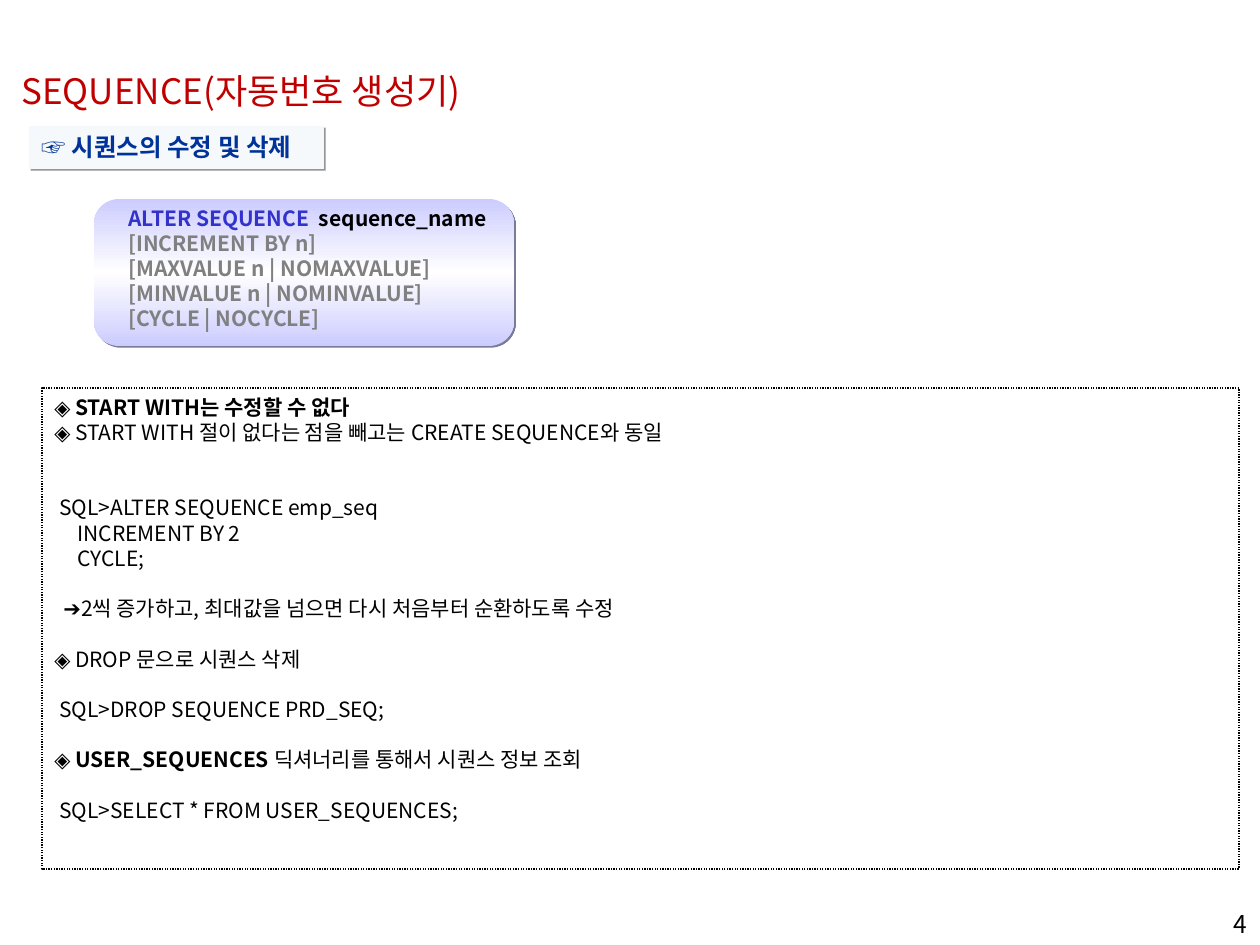
import copy
from dataclasses import dataclass

import pptx
import pptx.dml.color
import pptx.enum.dml
import pptx.enum.shapes
import pptx.enum.text
import pptx.oxml
import pptx.oxml.ns
import pptx.util
from pptx.dml.color import RGBColor

EMU_PER_PX = 914400 / 126
LINE_FACTOR = 1.2
SANS = "Noto Sans CJK KR"
ARROW_FONT = "Arial"

BLACK = RGBColor(0x00, 0x00, 0x00)
TITLE_RED = RGBColor(0xC0, 0x00, 0x00)
HEADING_BLUE = RGBColor(0x00, 0x33, 0x99)
KEYWORD_BLUE = RGBColor(0x33, 0x33, 0xCC)
OPTION_GREY = RGBColor(0x80, 0x80, 0x80)
HEADING_FILL = RGBColor(0xF6, 0xF9, 0xFC)
HEADING_SHADOW = RGBColor(0x94, 0x95, 0x97)
LAVENDER = RGBColor(0xCC, 0xCC, 0xFF)
WHITE = RGBColor(0xFF, 0xFF, 0xFF)
PANEL_SHADOW = RGBColor(0x7A, 0x7A, 0x99)

SHAPES = pptx.enum.shapes.MSO_SHAPE
LEFT = pptx.enum.text.PP_ALIGN.LEFT
RIGHT = pptx.enum.text.PP_ALIGN.RIGHT


@dataclass(frozen=True)
class Box:
    left: int
    top: int
    width: int
    height: int


@dataclass(frozen=True)
class Run:
    text: str
    bold: bool = False
    color: RGBColor = BLACK
    font: str = SANS


@dataclass(frozen=True)
class Line:
    """One paragraph; indent is in px, gap counts empty lines above it."""
    runs: tuple[Run, ...]
    indent: int = 0
    gap: int = 0


def px(length: float) -> int:
    return round(length * EMU_PER_PX)


def edges(box: Box) -> tuple[int, ...]:
    return tuple(px(n) for n in (box.left, box.top, box.width, box.height))


def write(shape, lines: list[Line], size: int, align=LEFT) -> None:
    frame = shape.text_frame
    frame.word_wrap = True
    frame.vertical_anchor = pptx.enum.text.MSO_ANCHOR.TOP
    pitch = size * LINE_FACTOR
    for number, line in enumerate(lines):
        paragraph = frame.add_paragraph() if number else frame.paragraphs[0]
        layout = {
            "alignment": align,
            "line_spacing": pptx.util.Pt(pitch),
            "space_before": pptx.util.Pt(pitch * line.gap),
        }
        for key, value in layout.items():
            setattr(paragraph, key, value)
        if line.indent:
            paragraph._p.get_or_add_pPr().set("marL", str(px(line.indent)))
        for part in line.runs:
            run = paragraph.add_run()
            run.text = part.text
            style = {"name": part.font, "size": pptx.util.Pt(size), "bold": part.bold}
            for key, value in style.items():
                setattr(run.font, key, value)
            run.font.color.rgb = part.color
            east_asian = pptx.oxml.parse_xml(
                f'<a:ea {pptx.oxml.ns.nsdecls("a")} typeface="{part.font}"/>')
            run.font._rPr.append(east_asian)


def add_text(slide, box: Box, lines: list[Line], size: int, align=LEFT) -> None:
    write(slide.shapes.add_textbox(*edges(box)), lines, size, align)


def add_plain_shape(slide, kind, box: Box):
    shape = slide.shapes.add_shape(kind, *edges(box))
    shape.shadow.inherit = False
    shape.line.fill.background()
    return shape


def cast_shadow(shape, color: RGBColor) -> None:
    effects = shape._element.spPr.find(pptx.oxml.ns.qn("a:effectLst"))
    effects.append(pptx.oxml.parse_xml(
        f'<a:outerShdw {pptx.oxml.ns.nsdecls("a")} blurRad="0" dist="17780" '
        f'dir="2700000" algn="ctr" rotWithShape="0">'
        f'<a:srgbClr val="{color}"/></a:outerShdw>'))


def fill_gradient(shape, colors: list[RGBColor]) -> None:
    """Spread the colours evenly from top to bottom."""
    shape.fill.gradient()
    shape.fill.gradient_angle = 270
    stop_list = shape._element.spPr.find(".//" + pptx.oxml.ns.qn("a:gsLst"))
    while len(stop_list) < len(colors):
        stop_list.append(copy.deepcopy(stop_list[0]))
    for number, (stop, color) in enumerate(zip(shape.fill.gradient_stops, colors)):
        stop.position = number / (len(colors) - 1)
        stop.color.rgb = color


def add_heading(slide) -> None:
    heading = add_plain_shape(slide, SHAPES.RECTANGLE, Box(29, 126, 295, 43))
    heading.fill.solid()
    heading.fill.fore_color.rgb = HEADING_FILL
    cast_shadow(heading, HEADING_SHADOW)
    write(heading, [Line((Run("☞ 시퀀스의 수정 및 삭제", True, HEADING_BLUE),))], 14)


def add_syntax(slide) -> None:
    panel = add_plain_shape(slide, SHAPES.ROUNDED_RECTANGLE, Box(94, 199, 420, 147))
    panel.adjustments[0] = 0.17
    fill_gradient(panel, [LAVENDER, WHITE, LAVENDER])
    cast_shadow(panel, PANEL_SHADOW)
    options = ["[INCREMENT BY n]", "[MAXVALUE n | NOMAXVALUE]",
               "[MINVALUE n | NOMINVALUE]", "[CYCLE | NOCYCLE]"]
    statement = Line((Run("ALTER SEQUENCE  ", True, KEYWORD_BLUE),
                      Run("sequence_name", True)))
    clauses = [Line((Run(option, True, OPTION_GREY),)) for option in options]
    add_text(slide, Box(116, 199, 388, 139), [statement, *clauses], 12)


def add_explanation(slide) -> None:
    frame = add_plain_shape(slide, SHAPES.RECTANGLE, Box(42, 388, 1197, 481))
    frame.fill.background()
    frame.line.color.rgb = BLACK
    frame.line.width = pptx.util.Pt(0.75)
    frame.line.dash_style = pptx.enum.dml.MSO_LINE.ROUND_DOT
    sql, clause, result = 5, 23, 9
    write(frame, [
        Line((Run("◈ "), Run("START WITH는 수정할 수 없다", True))),
        Line((Run("◈ START WITH 절이 없다는 점을 빼고는 CREATE SEQUENCE와 동일"),)),
        Line((Run("SQL>ALTER SEQUENCE emp_seq"),), sql, 2),
        Line((Run("INCREMENT BY 2"),), clause),
        Line((Run("CYCLE;"),), clause),
        Line((Run("➔", font=ARROW_FONT),
              Run("2씩 증가하고, 최대값을 넘으면 다시 처음부터 순환하도록 수정")), result, 1),
        Line((Run("◈ DROP 문으로 시퀀스 삭제"),), gap=1),
        Line((Run("SQL>DROP SEQUENCE PRD_SEQ;"),), sql, 1),
        Line((Run("◈ "), Run("USER_SEQUENCES ", True),
              Run("딕셔너리를 통해서 시퀀스 정보 조회")), gap=1),
        Line((Run("SQL>SELECT * FROM USER_SEQUENCES;"),), sql, 1),
    ], 12)


def main() -> None:
    deck = pptx.Presentation()
    deck.slide_width, deck.slide_height = px(1260), px(945)
    slide = deck.slides.add_slide(deck.slide_layouts[6])
    add_text(slide, Box(998, 903, 262, 63), [Line((Run("4"),))], 14, RIGHT)
    add_heading(slide)
    add_syntax(slide)
    add_explanation(slide)
    title = Line((Run("SEQUENCE(자동번호 생성기)", color=TITLE_RED),))
    add_text(slide, Box(9, 63, 498, 55), [title], 20)
    deck.save("out.pptx")


if __name__ == "__main__":
    main()
